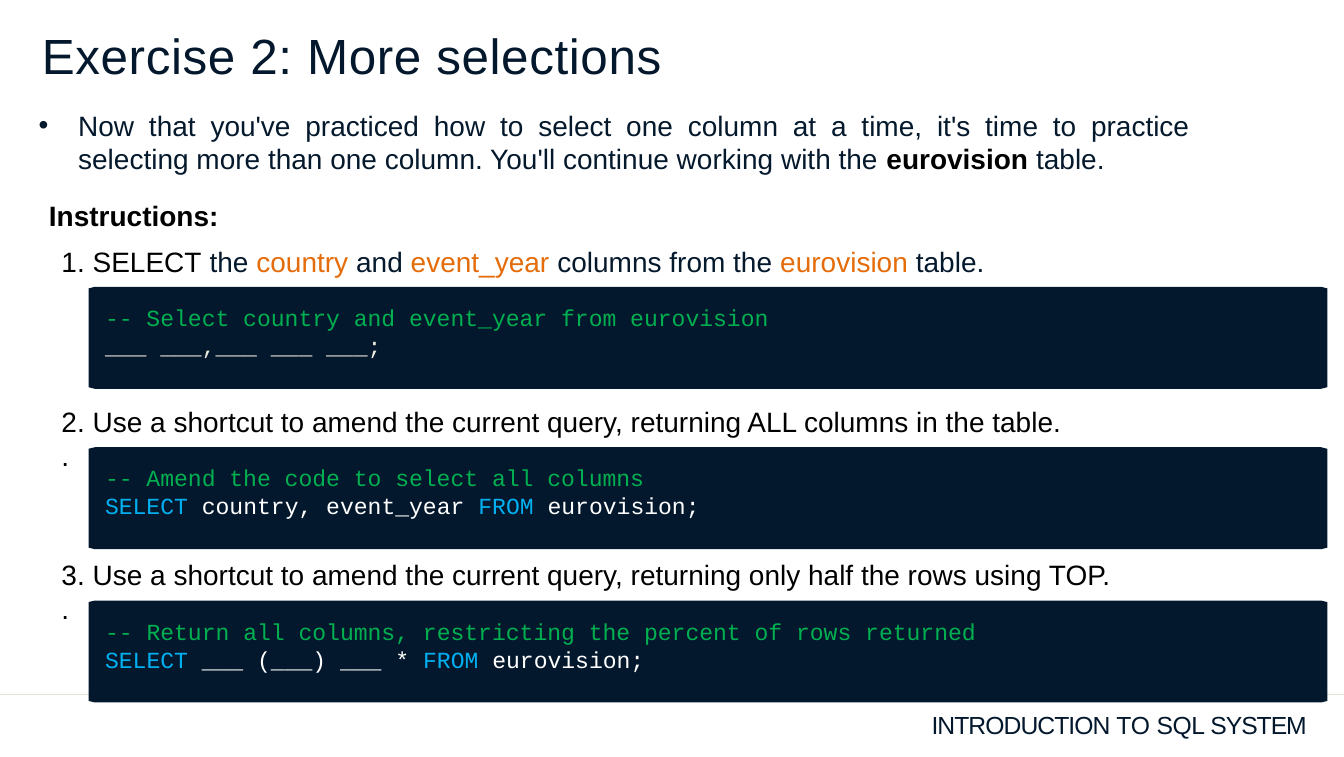
from pptx import Presentation
from pptx.dml.color import RGBColor
from pptx.enum.text import MSO_AUTO_SIZE, PP_ALIGN
from pptx.oxml.ns import qn
from pptx.util import Inches, Pt
from lxml import etree

COLORS = {"navy": "04182D", "ink": "05192D", "black": "000000", "orange": "E46C0A",
          "green": "00B050", "blue": "00B0F0", "white": "FFFFFF", "cream": "EEECE1",
          "rule": "E4E1D9"}
BODY = {"name": "Arial", "size": Pt(25.5)}
BOLD = {**BODY, "bold": True}
CODE = {"name": "Courier New", "size": Pt(21)}
TITLE = {"name": "Arial", "size": Pt(45)}
FOOTER = {"name": "Arial", "size": Pt(22.5)}
DEFAULT_INSETS = (0.1, 0.05, 0.1, 0.05)
CODE_INSETS = (0, 0.01, 0, 0)

prs = Presentation()
prs.slide_width, prs.slide_height = Inches(17.01), Inches(9.58)
s = prs.slides.add_slide(prs.slide_layouts[6])


def add_text(at, paragraphs, insets=DEFAULT_INSETS, align=PP_ALIGN.JUSTIFY, gap=0):
    tf = s.shapes.add_textbox(*map(Inches, at)).text_frame
    frame = {"word_wrap": True, "auto_size": MSO_AUTO_SIZE.SHAPE_TO_FIT_TEXT}
    sides = ("margin_left", "margin_top", "margin_right", "margin_bottom")
    frame.update(zip(sides, map(Inches, insets)))
    for key, value in frame.items():
        setattr(tf, key, value)
    for i, runs in enumerate(paragraphs):
        p = tf.add_paragraph() if i else tf.paragraphs[0]
        p.alignment = align
        if i:
            p.space_before = Pt(gap)
        for text, color, fmt, *spacing in runs:
            r = p.add_run()
            r.text = text
            for key, value in fmt.items():
                setattr(r.font, key, value)
            r.font.color.rgb = RGBColor.from_string(COLORS[color])
            if spacing:
                r._r.get_or_add_rPr().set("spc", str(spacing[0]))
    return tf


def add_outline(points, color):
    corners = [(Inches(x), Inches(y)) for x, y in points]
    builder = s.shapes.build_freeform(*corners[0])
    builder.add_line_segments(corners[1:], close=True)
    sp = builder.convert_to_shape()
    sp.shadow.inherit = False
    sp.fill.solid()
    sp.fill.fore_color.rgb = RGBColor.from_string(COLORS[color])
    sp.line.fill.background()


add_outline([(0, 8.78), (17.01, 8.78), (17.01, 8.8), (0, 8.8)], "rule")
add_text((0.53, 0.3, 9.04, 0.77), [[("Exercise 2: More selections", "navy", TITLE, 60)]],
         (0, 0.02, 0, 0), PP_ALIGN.LEFT)
add_text((11.79, 8.98, 4.89, 0.38),
         [[("INTRODUCTION", "navy", FOOTER, -90), (" TO ", "navy", FOOTER, -30),
           ("SQL ", "navy", FOOTER, -50), ("SYSTEM", "navy", FOOTER, -100)]],
         (0, 0, 0, 0), PP_ALIGN.LEFT)

tf = add_text((0.39, 1.32, 14.78, 0.96), [[
    ("Now that you've practiced how to select one column at a time, it's time to practice "
     "selecting more than one column. You'll continue working with the ", "ink", BODY),
    ("eurovision", "black", BOLD), (" table.", "ink", BODY)]])
pPr = tf.paragraphs[0]._p.get_or_add_pPr()
pPr.set("marL", str(Inches(0.5)))
pPr.set("indent", str(Inches(-0.5)))
etree.SubElement(pPr, qn("a:buFont")).set("typeface", "Arial")
etree.SubElement(pPr, qn("a:buChar")).set("char", "•")

add_text((0.52, 2.46, 14.78, 0.53), [[("Instructions:", "black", BOLD)]])

exercises = [
    (3.63, 11.23, 1.07,
     [[("1. SELECT", "black", BODY), (" the ", "ink", BODY), ("country", "orange", BODY),
       (" and ", "ink", BODY), ("event_year ", "orange", BODY),
       ("columns from the ", "ink", BODY), ("eurovision", "orange", BODY),
       (" table.", "ink", BODY)]],
     [[("-- Select country and event_year from eurovision", "green", CODE)],
      [("___ ___,___ ___ ___;", "cream", CODE)]]),
    (5.66, 11.23, 1.07,
     [[("2. Use a shortcut to amend the current query, returning ALL columns in the table.",
        "black", BODY)], [(".", "black", BODY)]],
     [[("-- Amend the code to select all columns", "green", CODE)],
      [("SELECT", "blue", CODE), (" country, event_year ", "white", CODE),
       ("FROM ", "blue", CODE), ("eurovision;", "white", CODE)]]),
    (7.6, 13.59, 0.72,
     [[("3. Use a shortcut to amend the current query, returning only half the rows using TOP.",
        "black", BODY)], [(".", "black", BODY)]],
     [[("-- Return all columns, restricting the percent of rows returned", "green", CODE)],
      [("SELECT", "blue", CODE), (" ___ (___) ___ * ", "white", CODE),
       ("FROM ", "blue", CODE), ("eurovision;", "white", CODE)]]),
]
left, right, cut_x, cut_y = 1.12, 16.8, 0.08, 0.02
for top, code_width, code_height, task, code in exercises:
    bottom = top + 1.29
    add_outline([(left + cut_x, top), (right - cut_x, top), (right, top + cut_y),
                 (right, bottom - cut_y), (right - cut_x, bottom), (left + cut_x, bottom),
                 (left, bottom - cut_y), (left, top + cut_y)], "navy")
    add_text((0.68, top - 0.59, 14.78, 0.53 + 0.43 * (len(task) - 1)), task)
    add_text((1.33, top + 0.2, code_width, code_height), code, CODE_INSETS,
             PP_ALIGN.LEFT, 0.3)

prs.save("out.pptx")
